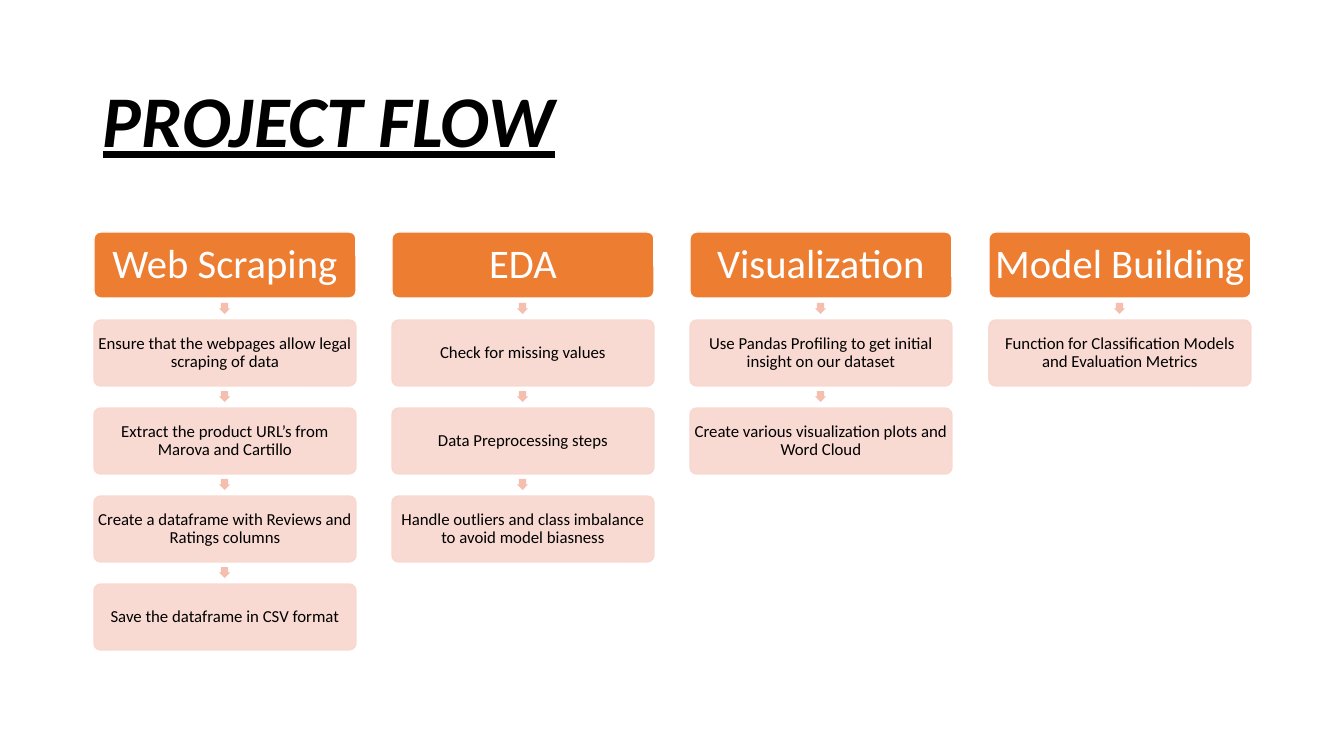
from lxml.etree import SubElement
from pptx import Presentation
from pptx.dml.color import RGBColor
from pptx.enum.shapes import MSO_SHAPE as Preset
from pptx.enum.text import MSO_ANCHOR as Anchor, PP_ALIGN as Align
from pptx.oxml.ns import qn
from pptx.util import Emu, Pt

SLIDE_WIDTH, SLIDE_HEIGHT = 1344, 756
EMU_PER_PX = 914400 / 100.8

ORANGE, PALE, ARROW = "ED7D31", "F8D7CE", "F4BFAE"
WHITE, BLACK = "FFFFFF", "000000"

# Each stage of the project with its steps in order
STAGES = {
    "Web Scraping": [
        "Ensure that the webpages allow legal scraping of data",
        "Extract the product URL’s from Marova and Cartillo",
        "Create a dataframe with Reviews and Ratings columns",
        "Save the dataframe in CSV format",
    ],
    "EDA": [
        "Check for missing values",
        "Data Preprocessing steps",
        "Handle outliers and class imbalance to avoid model biasness",
    ],
    "Visualization": [
        "Use Pandas Profiling to get initial insight on our dataset",
        "Create various visualization plots and Word Cloud",
    ],
    "Model Building": [
        "Function for Classification Models and Evaluation Metrics",
    ],
}

# Column and row layout in px
LEFT, COLUMNS_SPAN = 94, 895
BOX_WIDTH, BOX_HEIGHT = 262, 66
HEADER_TOP, STEP_TOP, STEP_PITCH = 232, 320, 88
ARROW_SIZE, ARROW_RISE = 11, 17


def px(length):
    return Emu(round(length * EMU_PER_PX))


def color(value):
    return RGBColor.from_string(value)


class FlowSlide:
    font = "Calibri"

    def __init__(self, deck):
        self.slide = deck.slides.add_slide(deck.slide_layouts[6])

    def label(self, shape, text, inset, ink, align, **formats):
        frame = shape.text_frame
        frame.word_wrap = True
        frame.vertical_anchor = Anchor.MIDDLE
        for side, margin in zip(("left", "top", "right", "bottom"), inset):
            setattr(frame, f"margin_{side}", px(margin))
        para = frame.paragraphs[0]
        para.alignment = align
        para.line_spacing = 0.9
        span = para.add_run()
        span.text = text
        span.font.color.rgb = color(ink)
        for name, value in {"name": self.font, **formats}.items():
            setattr(span.font, name, value)
        return para

    def title(self, text, *place):
        box = self.slide.shapes.add_textbox(*map(px, place))
        para = self.label(box, text, (10, 5, 10, 5), BLACK, Align.LEFT,
                          size=Pt(52), bold=True, italic=True, underline=True)
        para.space_after = Pt(6)

    def preset(self, kind, place, adjustments, fill):
        shape = self.slide.shapes.add_shape(kind, *map(px, place))
        shape.shadow.inherit = False
        for index, value in enumerate(adjustments):
            shape.adjustments[index] = value
        shape.fill.solid()
        shape.fill.fore_color.rgb = color(fill)
        return shape

    def box(self, text, left, top, fill, edge, ink, size, inset, opacity=100):
        place = (left, top, BOX_WIDTH, BOX_HEIGHT)
        shape = self.preset(Preset.ROUNDED_RECTANGLE, place, [0.1], fill)
        shape.line.color.rgb = color(edge)
        shape.line.width = Pt(1)
        if opacity < 100:
            for node in shape.element.spPr.iter(qn("a:srgbClr")):
                SubElement(node, qn("a:alpha"), val=str(opacity * 1000))
        self.label(shape, text, [inset] * 4, ink, Align.CENTER, size=Pt(size))

    def arrow(self, left, top):
        place = (left, top, ARROW_SIZE, ARROW_SIZE)
        shape = self.preset(Preset.RIGHT_ARROW, place, [0.667, 0.5], ARROW)
        shape.line.fill.background()
        shape.rotation = 90


def main():
    deck = Presentation()
    deck.slide_width, deck.slide_height = px(SLIDE_WIDTH), px(SLIDE_HEIGHT)
    page = FlowSlide(deck)

    # Title
    page.title("PROJECT FLOW", 93, 61, 1159, 125)

    # One column per stage: header, then an arrow and a box for each step
    for column, (stage, steps) in enumerate(STAGES.items()):
        left = LEFT + column * COLUMNS_SPAN // (len(STAGES) - 1)
        page.box(stage, left, HEADER_TOP, ORANGE, WHITE, WHITE, 29, 3)
        for row, step in enumerate(steps):
            top = STEP_TOP + row * STEP_PITCH
            page.arrow(left + (BOX_WIDTH - ARROW_SIZE) // 2, top - ARROW_RISE)
            page.box(step, left, top, PALE, PALE, BLACK, 12, 2, opacity=90)

    deck.save("out.pptx")


if __name__ == "__main__":
    main()
